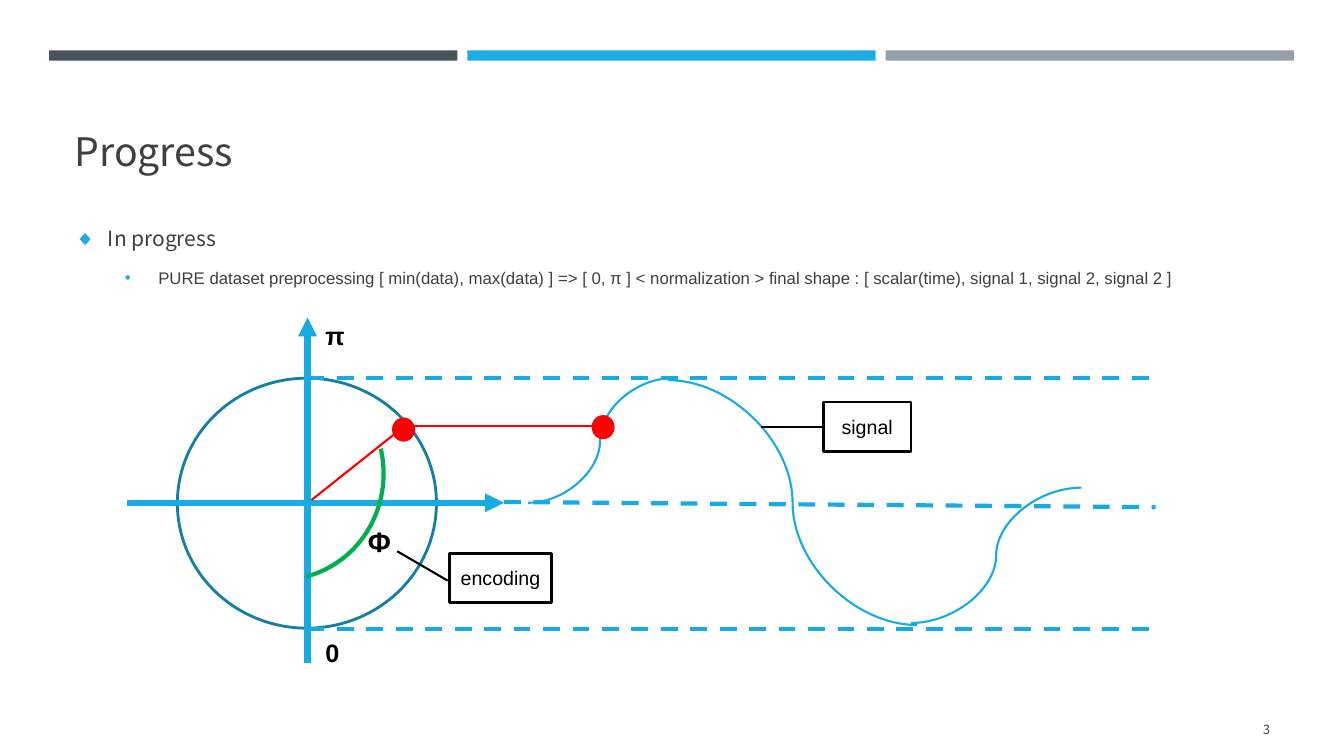
from lxml import etree
from pptx import Presentation
from pptx.dml.color import RGBColor
from pptx.enum import dml, shapes, text
from pptx.oxml.ns import qn
from pptx.util import Cm, Pt

COLORS = {
    "slate": "465359", "sky": "1CADE4", "grey": "969FA7", "body": "3F3F3F",
    "axis": "16ABE2", "circle": "147EA6", "red": "FF0000", "green": "00B050",
    "black": "000000",
}
SANS, ARIAL = "Noto Sans CJK KR", "Arial"

# Content; all lengths in cm
TITLE = "Progress"
PAGE_NUMBER = "3"
BULLETS = [  # wording, font, size, bullet, left indent, space before (pt)
    ("In progress", SANS, 15, "◆", 0.84, 0),
    ("PURE dataset preprocessing [ min(data), max(data) ] => [ 0, π ] "
     "< normalization > final shape : [ scalar(time), signal 1, signal 2, signal 2 ]",
     ARIAL, 12, "•", 2.11, 13),
]
BARS = ["slate", "sky", "grey"]
LABELS = [  # wording, size, box
    ("π", 18, (7.95, 7.95, 1.27, 1.02)),
    ("0", 18, (7.95, 15.93, 1.27, 1.02)),
    ("Φ", 20, (9.02, 13.08, 0.56, 1.12)),
]
CALLOUTS = [  # wording, box, leader
    ("signal", (20.75, 10.13, 2.21, 1.24), (19.18, 10.77, 20.75, 10.77)),
    ("encoding", (11.33, 13.94, 2.57, 1.24), (10.01, 13.89, 11.28, 14.63)),
]

# Diagram geometry: from x, y to x, y
ORIGIN_X, ORIGIN_Y = 7.75, 12.67
TOP_Y, BOTTOM_Y, GUIDE_END = 9.53, 15.85, 29.12
CIRCLE = (4.47, TOP_Y, 6.53, 6.3)
ANGLE_ARC = (4.29, 9.25, 5.46, 5.28)
AXES = [(ORIGIN_X, 16.71, ORIGIN_X, 8.0), (3.2, ORIGIN_Y, 12.7, ORIGIN_Y)]
GUIDES = [
    (ORIGIN_X, TOP_Y, GUIDE_END, TOP_Y),
    (ORIGIN_X, BOTTOM_Y, GUIDE_END, BOTTOM_Y),
    (12.7, 12.65, GUIDE_END, 12.78),
]
WAVE = [
    (16.94, TOP_Y, 13.31, ORIGIN_Y),
    (16.84, 9.58, 23.11, 15.75),
    (22.96, 15.7, 27.25, 12.29),
]
PHASE_LINES = [(10.19, 10.74, 15.11, 10.74), (10.19, 10.74, 7.85, 12.6)]
DOTS = [(9.88, 10.52, 0.58, 0.61), (14.91, 10.46, 0.58, 0.61)]

prs = Presentation()
prs.slide_width, prs.slide_height = Cm(33.87), Cm(19.05)
slide = prs.slides.add_slide(prs.slide_layouts[6])


def rgb(name):
    return RGBColor.from_string(COLORS[name])


def add_figure(kind, box, fill=None, line=None, width=0):
    figure = slide.shapes.add_shape(kind, *map(Cm, box))
    figure.shadow.inherit = False
    if fill:
        figure.fill.solid()
        figure.fill.fore_color.rgb = rgb(fill)
    else:
        figure.fill.background()
    if line:
        figure.line.color.rgb = rgb(line)
        figure.line.width = Pt(width)
    else:
        figure.line.fill.background()
    return figure


def add_line(ends, color, width, dashed=False, arrow=False,
             kind=shapes.MSO_CONNECTOR.STRAIGHT):
    link = slide.shapes.add_connector(kind, *map(Cm, ends))
    link.line.color.rgb = rgb(color)
    link.line.width = Pt(width)
    if dashed:
        link.line.dash_style = dml.MSO_LINE.DASH
    if arrow:
        etree.SubElement(link.line._get_or_add_ln(), qn("a:tailEnd"), type="triangle")
    etree.SubElement(link._element.spPr, qn("a:effectLst"))


def add_run(paragraph, wording, font, size, color, bold=False):
    run = paragraph.add_run()
    run.text = wording
    run.font.name, run.font.size, run.font.bold = font, Pt(size), bold
    run.font.color.rgb = rgb(color)


def add_frame(box, anchor=text.MSO_ANCHOR.TOP):
    frame = slide.shapes.add_textbox(*map(Cm, box)).text_frame
    frame.word_wrap = True
    frame.vertical_anchor = anchor
    return frame


def add_bullet(paragraph, mark, indent):
    props = paragraph._p.get_or_add_pPr()
    props.set("marL", str(Cm(indent)))
    props.set("indent", str(-Cm(0.84)))
    color = etree.SubElement(props, qn("a:buClr"))
    etree.SubElement(color, qn("a:srgbClr"), val=COLORS["sky"])
    etree.SubElement(props, qn("a:buFont"), typeface=ARIAL)
    etree.SubElement(props, qn("a:buChar"), char=mark)


# Header bars
for i, color in enumerate(BARS):
    add_figure(shapes.MSO_SHAPE.RECTANGLE, (1.24 + 10.54 * i, 1.27, 10.29, 0.26), color)

# Title, bullets and page number
title = add_frame((1.63, 1.96, 30.63, 2.57), text.MSO_ANCHOR.BOTTOM)
add_run(title.paragraphs[0], TITLE, SANS, 28, "body")

body = add_frame((1.63, 5.64, 30.63, 2.0))
for i, (wording, font, size, mark, indent, gap) in enumerate(BULLETS):
    paragraph = body.add_paragraph() if i else body.paragraphs[0]
    paragraph.line_spacing = 0.9
    paragraph.space_before = Pt(gap)
    add_bullet(paragraph, mark, indent)
    add_run(paragraph, wording, font, size, "body")

page = add_frame((29.34, 17.86, 2.92, 1.02), text.MSO_ANCHOR.MIDDLE)
page.paragraphs[0].alignment = text.PP_ALIGN.RIGHT
add_run(page.paragraphs[0], PAGE_NUMBER, SANS, 9, "body")

# Unit circle, axes and guides
add_figure(shapes.MSO_SHAPE.OVAL, CIRCLE, line="circle", width=2)
for ends in AXES:
    add_line(ends, "axis", 4.5, arrow=True)
for ends in GUIDES:
    add_line(ends, "axis", 3, dashed=True)

# Signal wave
for ends in WAVE:
    add_line(ends, "axis", 1.5, kind=shapes.MSO_CONNECTOR.CURVE)

# Phase angle and its projection on the wave
for ends in PHASE_LINES:
    add_line(ends, "red", 1.5)
angle = add_figure(shapes.MSO_SHAPE.ARC, ANGLE_ARC, line="green", width=3)
angle.adjustments[0], angle.adjustments[1] = 163.32, 0
angle.rotation = 75
for box in DOTS:
    add_figure(shapes.MSO_SHAPE.OVAL, box, "red")

# Callouts and labels
for wording, box, leader in CALLOUTS:
    add_line(leader, "black", 1.5)
    callout = add_figure(shapes.MSO_SHAPE.RECTANGLE, box, line="black", width=2)
    frame = callout.text_frame
    frame.vertical_anchor = text.MSO_ANCHOR.MIDDLE
    frame.paragraphs[0].alignment = text.PP_ALIGN.CENTER
    add_run(frame.paragraphs[0], wording, ARIAL, 14, "black")
for wording, size, box in LABELS:
    add_run(add_frame(box).paragraphs[0], wording, ARIAL, size, "black", bold=True)

prs.save("out.pptx")
